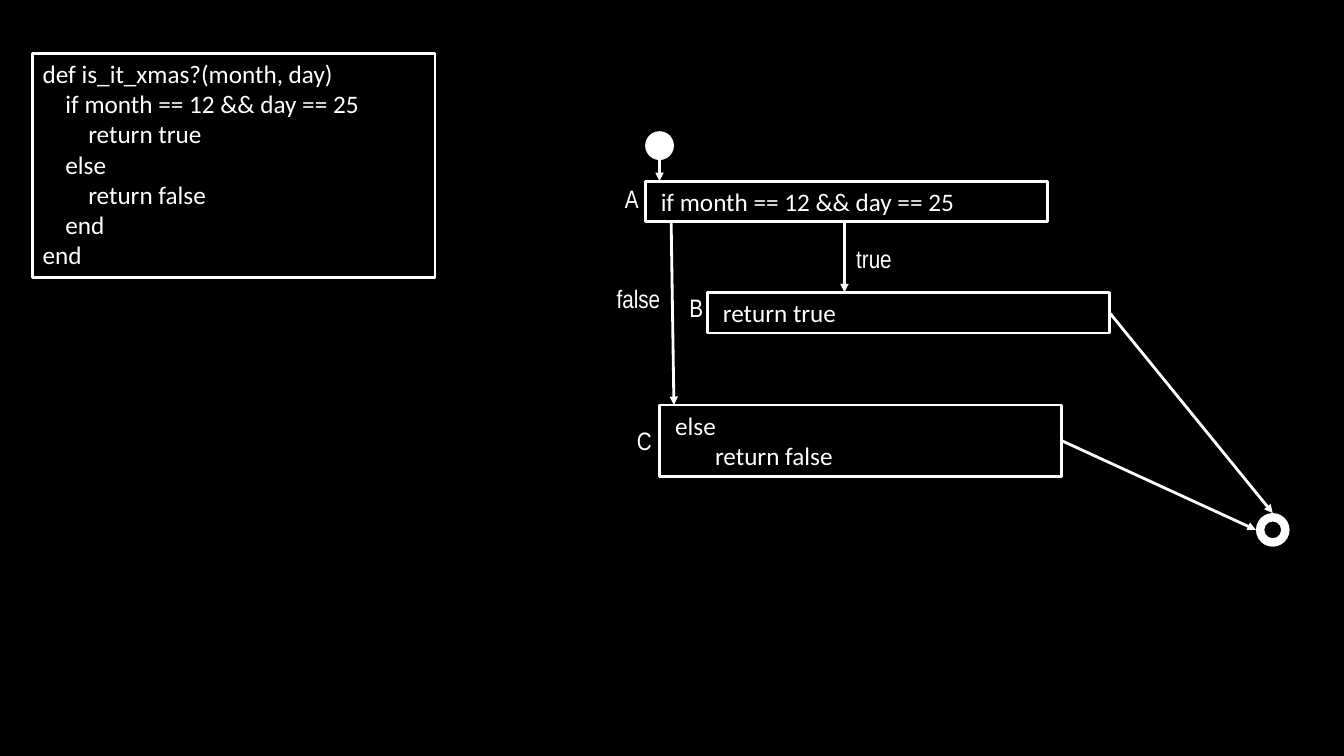
import pptx
import pptx.dml.color
import pptx.enum.shapes
import pptx.enum.text
import pptx.oxml
import pptx.oxml.ns
import pptx.util

Pt = pptx.util.Pt
COLORS = {"background": "000000", "ink": "FFFFFF"}
CODE_FONT, LABEL_FONT = "Calibri", "Arial Narrow"
FONT_SIZE, LINE_WIDTH = 18, 2
SPACE = 4.07  # one Calibri space at 18 pt
BOX_WIDTH = 287.3
BOX_HEIGHT = 29.08


def rgb(name):
    """Return a named colour as RGBColor."""
    return pptx.dml.color.RGBColor.from_string(COLORS[name])


def style_line(line):
    """Give an outline or connector the common stroke."""
    line.color.rgb = rgb("ink")
    line.width = Pt(LINE_WIDTH)


def style_text(p, font):
    """Format a paragraph's runs in the common size and colour."""
    p.alignment = pptx.enum.text.PP_ALIGN.LEFT
    for r in p.runs:
        r.font.name = font
        r.font.size = Pt(FONT_SIZE)
        r.font.color.rgb = rgb("ink")


def add_code_box(slide, x, y, height, lines):
    """Add an outlined box of (indent in spaces, code) lines."""
    sp = slide.shapes.add_textbox(Pt(x), Pt(y), Pt(BOX_WIDTH), Pt(height))
    style_line(sp.line)
    tf = sp.text_frame
    tf.word_wrap = True
    tf.text = "\n".join(code for _, code in lines)
    for p, (indent, _) in zip(tf.paragraphs, lines):
        style_text(p, CODE_FONT)
        p._p.get_or_add_pPr().set("marL", str(Pt(indent * SPACE)))


def add_label(slide, x, y, width, text):
    """Add a one-line label beside a node or an edge."""
    sp = slide.shapes.add_textbox(Pt(x), Pt(y), Pt(width), Pt(BOX_HEIGHT))
    tf = sp.text_frame
    tf.word_wrap = False
    tf.text = text
    style_text(tf.paragraphs[0], LABEL_FONT)


def add_marker(slide, kind, x, y, size):
    """Add a solid start or end marker."""
    sp = slide.shapes.add_shape(kind, Pt(x), Pt(y), Pt(size), Pt(size))
    sp.shadow.inherit = False
    sp.fill.solid()
    sp.fill.fore_color.rgb = rgb("ink")
    sp.line.fill.background()


def add_arrow(slide, x1, y1, x2, y2):
    """Add a straight arrow that points at its second end."""
    cxn = slide.shapes.add_connector(
        pptx.enum.shapes.MSO_CONNECTOR.STRAIGHT, Pt(x1), Pt(y1), Pt(x2), Pt(y2))
    style_line(cxn.line)
    ln = cxn.line._get_or_add_ln()
    ln.append(pptx.oxml.parse_xml(
        "<a:tailEnd %s type='triangle'/>" % pptx.oxml.ns.nsdecls("a")))
    cxn._element.spPr.append(pptx.oxml.parse_xml(
        "<a:effectLst %s/>" % pptx.oxml.ns.nsdecls("a")))


def main():
    """Build the control flow slide."""
    prs = pptx.Presentation()
    prs.slide_width, prs.slide_height = Pt(960), Pt(540)
    slide = prs.slides.add_slide(prs.slide_layouts[6])
    slide.background.fill.solid()
    slide.background.fill.fore_color.rgb = rgb("background")

    add_code_box(slide, 23.4, 38.1, 159.9, [
        (0, "def is_it_xmas?(month, day)"),
        (4, "if month == 12 && day == 25"),
        (8, "return true"),
        (4, "else"),
        (8, "return false"),
        (4, "end"),
        (0, "end"),
    ])

    shapes = pptx.enum.shapes.MSO_SHAPE
    add_marker(slide, shapes.OVAL, 460.8, 93.7, 20.6)
    add_marker(slide, shapes.DONUT, 897.1, 366.5, 24)

    nodes = [
        ("A", 460.8, 129.4, BOX_HEIGHT, [(1, "if month == 12 && day == 25")]),
        ("B", 505.2, 208.8, BOX_HEIGHT, [(1, "return true")]),
        ("C", 471.1, 289.3, 50.9, [(1, "else"), (8, "return false")]),
    ]
    for _, x, y, height, lines in nodes:
        add_code_box(slide, x, y, height, lines)

    for arrow in [
        (471.1, 114.3, 471.1, 129.4),
        (603.2, 158.5, 603.2, 208.8),
        (479.4, 158.5, 481.4, 289.3),
        (792.5, 223.3, 909.1, 366.5),
        (758.4, 314.8, 897.1, 378.5),
    ]:
        add_arrow(slide, *arrow)

    for label in [
        ("true", 604.5, 170.2, 40.3),
        ("false", 433.4, 198.7, 46.1),
        ("A", 439.2, 127.4, 24.5),
        ("B", 485.3, 205.2, 24.5),
        ("C", 447.8, 300.2, 25.2),
    ]:
        text, x, y, width = label
        add_label(slide, x, y, width, text)

    prs.save("out.pptx")


main()
